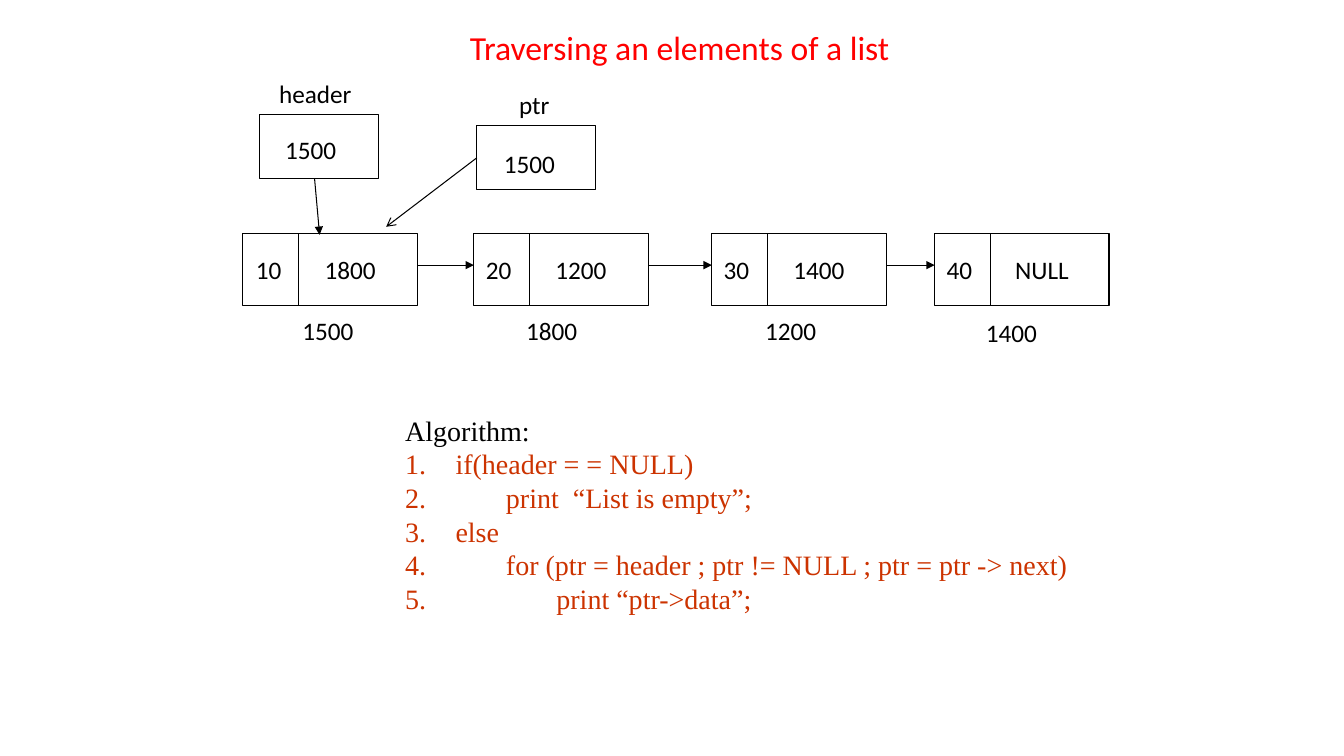
from pptx import Presentation
from pptx import util as u
from pptx.dml.color import RGBColor
from pptx.enum import shapes, text
from pptx.oxml.ns import qn
from lxml import etree

EMU_PER_PX = 9144
BLACK, WHITE, RED, RUST = "000000", "FFFFFF", "FF0000", "CC3300"
NODE_Y, NODE_W, NODE_H, DATA_W = 232, 173, 71, 55
ARROW_Y = 263
NODES = [
    (241, "10", 244, "1800", 312, "1500", 290, 308),
    (470, "20", 472, "1200", 541, "1800", 512, 308),
    (706, "30", 708, "1400", 777, "1200", 749, 308),
    (927, "40", 929, "NULL", 997, "1400", 968, 310),
]
STEPS = [
    "if(header = = NULL)",
    "\tprint  “List is empty”;",
    "else",
    "\tfor (ptr = header ; ptr != NULL ; ptr = ptr -> next)",
    "\t\tprint “ptr->data”;",
]


def px(n):
    """Turn px into EMU."""
    return u.Emu(n * EMU_PER_PX)


def rgb(value):
    """Turn a hex string into a colour."""
    return RGBColor.from_string(value)


def style(p, size, font, color):
    """Set the font of a whole paragraph."""
    p.font.size = u.Pt(size)
    p.font.name = font
    p.font.color.rgb = rgb(color)


def add_box(parent, x, y, w, h):
    """Add a white rectangle with a thin black outline."""
    sp = parent.shapes.add_shape(shapes.MSO_SHAPE.RECTANGLE, px(x), px(y), px(w), px(h))
    sp.shadow.inherit = False
    sp.fill.solid()
    sp.fill.fore_color.rgb = rgb(WHITE)
    sp.line.color.rgb = rgb(BLACK)
    sp.line.width = u.Pt(0.75)
    return sp


def add_line(parent, x1, y1, x2, y2, head=None):
    """Add a thin black line, with an arrowhead of the given type at its end."""
    line = parent.shapes.add_connector(
        shapes.MSO_CONNECTOR.STRAIGHT, px(x1), px(y1), px(x2), px(y2))
    line.line.color.rgb = rgb(BLACK)
    line.line.width = u.Pt(0.75)
    if head:
        etree.SubElement(line.line._get_or_add_ln(), qn("a:tailEnd"), type=head)
    etree.SubElement(line._element.spPr, qn("a:effectLst"))
    return line


def add_label(s, x, y, words, w=71):
    """Add a one-line label."""
    tf = s.shapes.add_textbox(px(x), px(y), px(w), px(40)).text_frame
    tf.word_wrap = False
    p = tf.paragraphs[0]
    p.text = words
    style(p, 18, "Calibri", BLACK)


def add_title(s):
    """Place and format the title."""
    sp = s.shapes.title
    sp.left, sp.top, sp.width, sp.height = px(249), px(19), px(850), px(56)
    tf = sp.text_frame
    tf.vertical_anchor = text.MSO_ANCHOR.MIDDLE
    p = tf.paragraphs[0]
    p.text = "Traversing an elements of a list"
    p.alignment = text.PP_ALIGN.CENTER
    style(p, 24, "Calibri", RED)


def add_node(s, x, data, data_x, link, link_x, address, address_x, address_y):
    """Add a list node with its data, link and address."""
    group = s.shapes.add_group_shape()
    add_box(group, x, NODE_Y, NODE_W, NODE_H)
    add_line(group, x + DATA_W, NODE_Y, x + DATA_W, NODE_Y + NODE_H)
    add_label(s, data_x, 247, data, 46)
    add_label(s, link_x, 247, link, 74 if link == "NULL" else 71)
    add_label(s, address_x, address_y, address)


def add_pointer(s, x, y, name, name_x, name_w, value_x, value_y):
    """Add a pointer variable box with its name and value."""
    sp = add_box(s, x, y, 118, 63)
    add_label(s, name_x, y - 41, name, name_w)
    add_label(s, value_x, value_y, "1500")
    return sp


def add_algorithm(s):
    """Add the heading and the numbered steps."""
    tf = s.shapes.add_textbox(px(392), px(405), px(717), px(212)).text_frame
    tf.word_wrap = True
    for i, words in enumerate(["Algorithm:"] + STEPS):
        p = tf.add_paragraph() if i else tf.paragraphs[0]
        p.text = words
        style(p, 20, "Times New Roman", RUST if i else BLACK)
        pPr = p._p.get_or_add_pPr()
        pPr.set("marL", str(px(50)))
        pPr.set("indent", str(px(-50)))
        if i:
            bullet = etree.Element(qn("a:buAutoNum"), type="arabicPeriod")
            pPr.insert(0, bullet)


def main():
    """Build the slide and save it."""
    prs = Presentation()
    prs.slide_width, prs.slide_height = px(1333), px(750)
    s = prs.slides.add_slide(prs.slide_layouts[5])
    add_title(s)
    for node in NODES:
        add_node(s, *node)
    for node, following in zip(NODES, NODES[1:]):
        add_line(s, node[0] + NODE_W, ARROW_Y, following[0], ARROW_Y, "triangle")
    add_pointer(s, 257, 114, "header", 267, 93, 273, 128)
    add_line(s, 312, 177, 317, 233, "triangle")
    ptr = add_pointer(s, 473, 125, "ptr", 505, 51, 490, 142)
    add_line(s, 473, 157, 383, 225, "arrow").begin_connect(ptr, 1)
    add_algorithm(s)
    prs.save("out.pptx")


if __name__ == "__main__":
    main()
